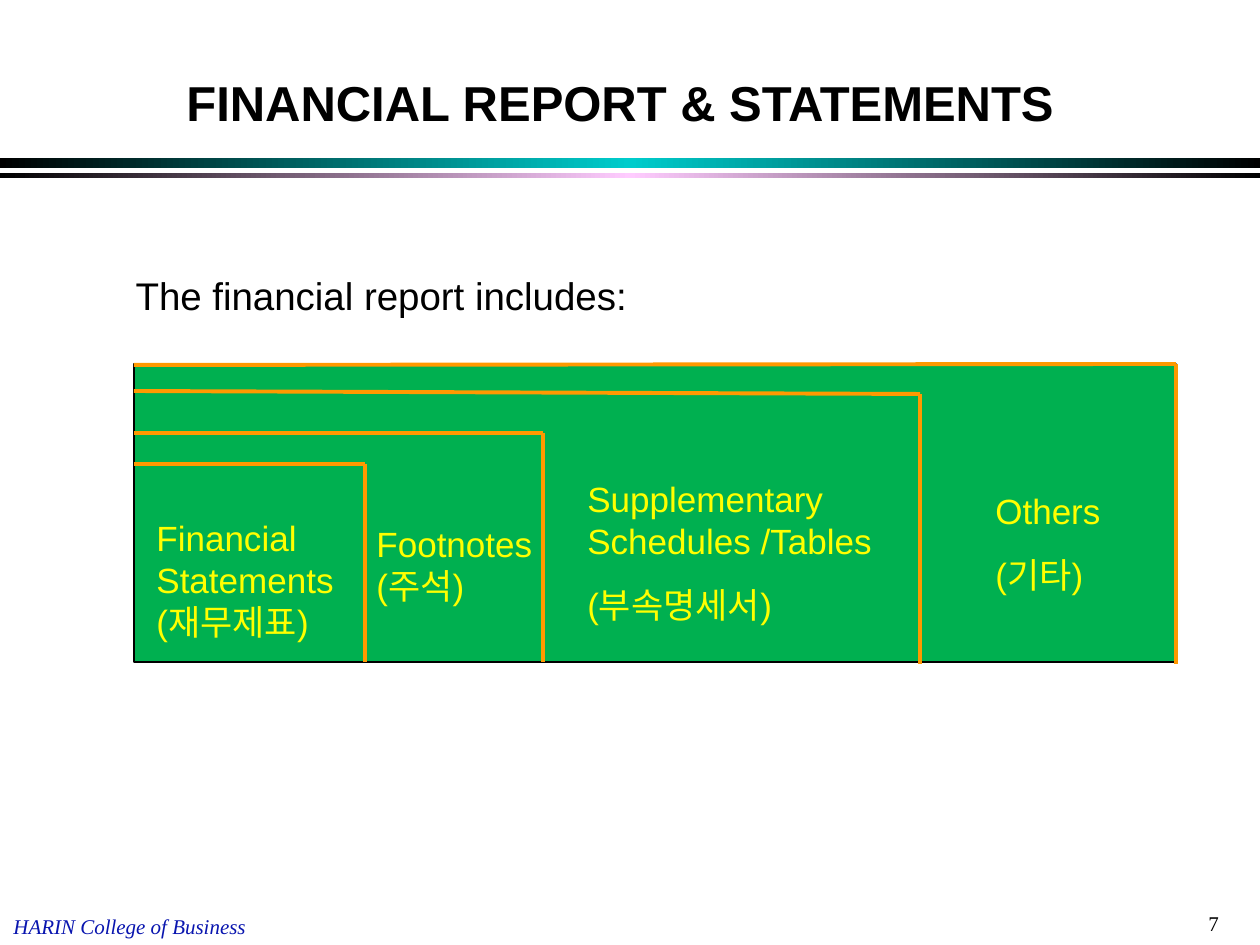
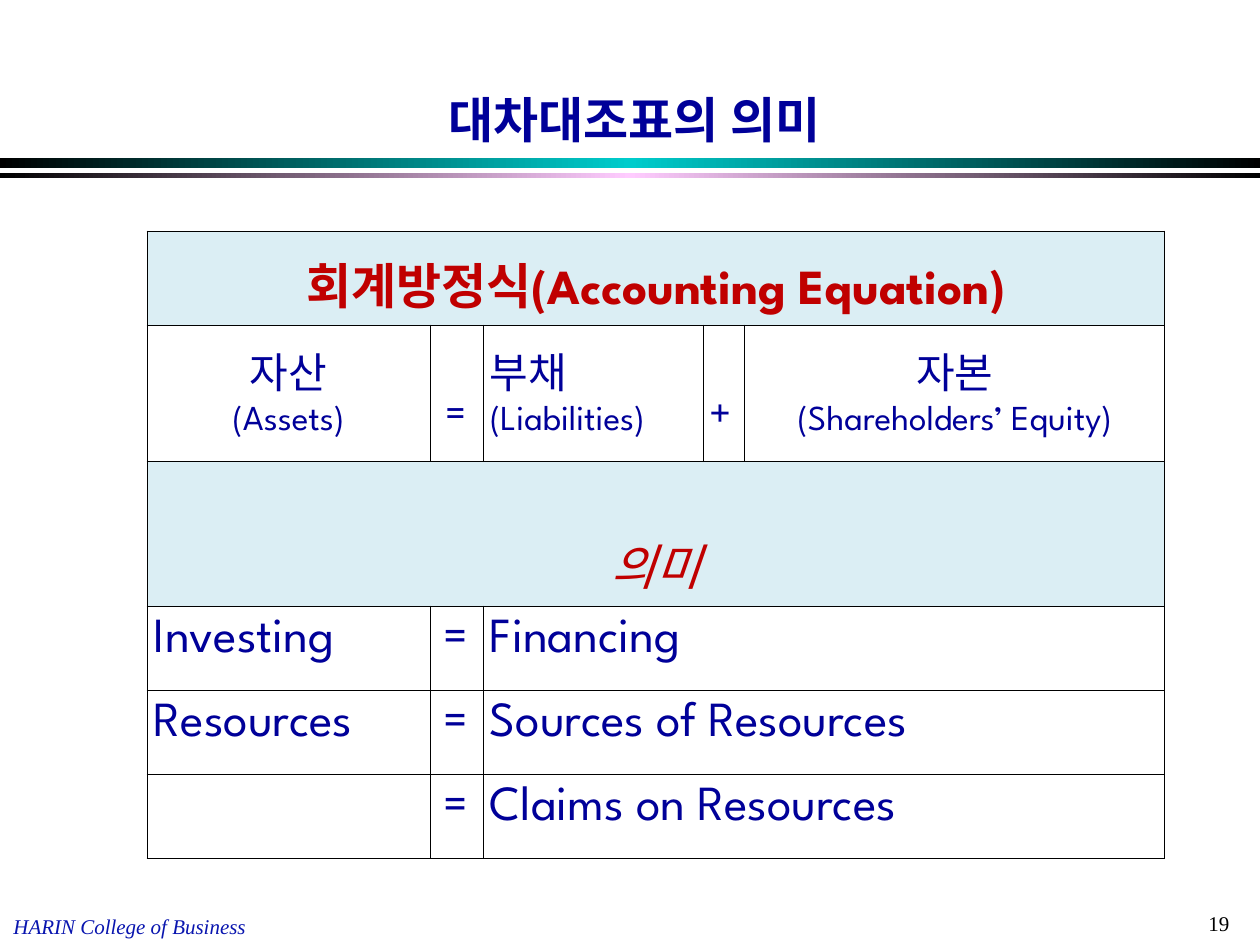
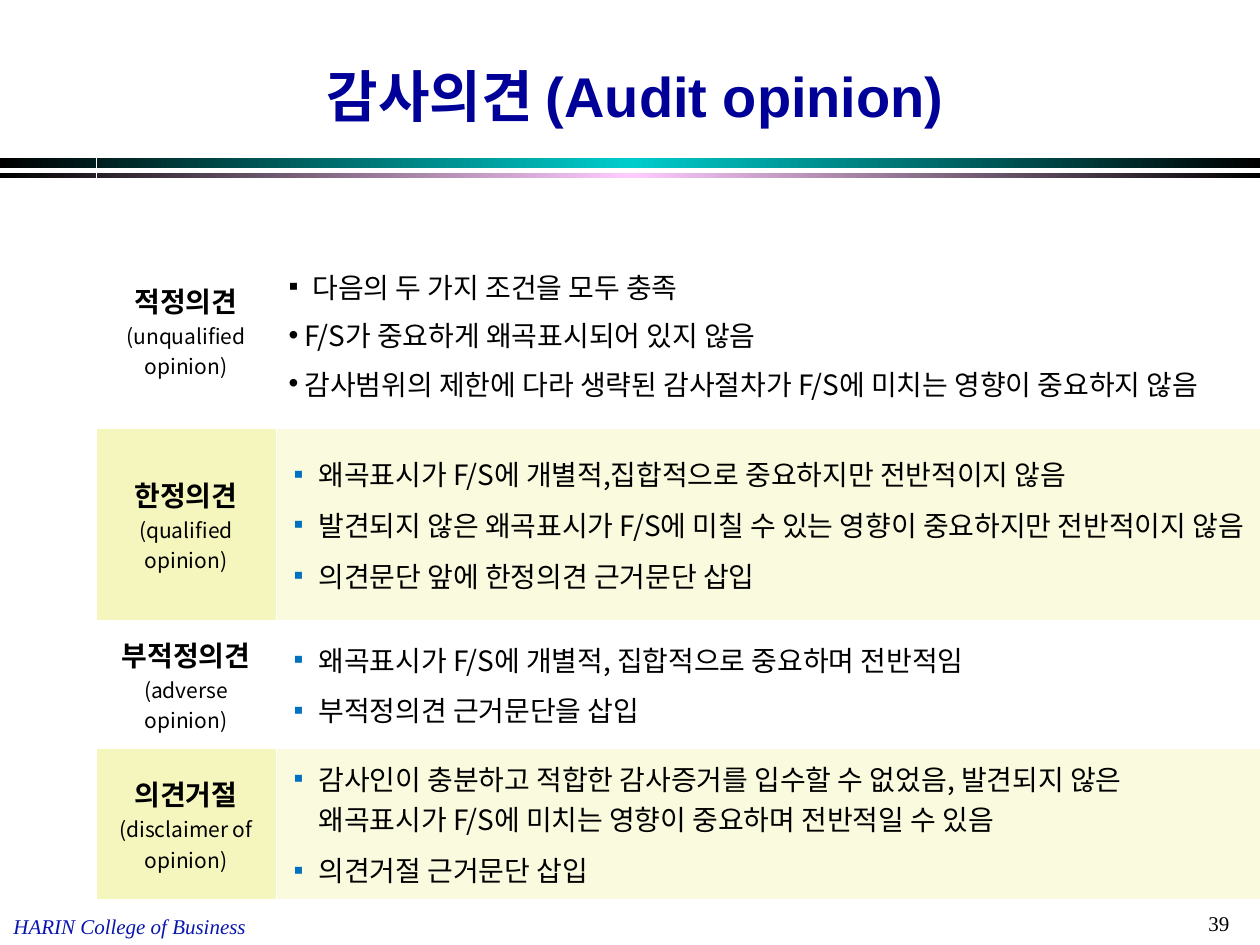
from copy import deepcopy

from lxml import etree
from pptx import Presentation
from pptx.dml.color import RGBColor
from pptx.enum.shapes import MSO_CONNECTOR, MSO_SHAPE
from pptx.enum.text import MSO_ANCHOR, MSO_AUTO_SIZE, PP_ALIGN
from pptx.oxml.ns import qn
from pptx.util import Emu, Pt

EMU_PER_PX = 914400 / 126

BLACK = RGBColor(0x00, 0x00, 0x00)
WHITE = RGBColor(0xFF, 0xFF, 0xFF)
TEAL = RGBColor(0x00, 0xCC, 0xCC)
PINK = RGBColor(0xFF, 0xCC, 0xFF)
FOOTER_BLUE = RGBColor(0x09, 0x15, 0xAF)
NAVY = RGBColor(0x00, 0x00, 0x99)
RED = RGBColor(0xC0, 0x00, 0x00)
GREEN = RGBColor(0x00, 0xB0, 0x50)
ORANGE = RGBColor(0xFF, 0x99, 0x00)
YELLOW = RGBColor(0xFF, 0xFF, 0x00)
PALE_BLUE = RGBColor(0xDB, 0xEE, 0xF4)
PALE_YELLOW = RGBColor(0xFA, 0xFA, 0xDE)
SOFT_YELLOW = RGBColor(0xF5, 0xF5, 0xBE)
BULLET_BLUE = RGBColor(0x00, 0x70, 0xC0)

LEFT, CENTER = PP_ALIGN.LEFT, PP_ALIGN.CENTER
TOP, MIDDLE, BOTTOM = MSO_ANCHOR.TOP, MSO_ANCHOR.MIDDLE, MSO_ANCHOR.BOTTOM
NO_AUTOFIT = MSO_AUTO_SIZE.NONE
RECTANGLE = MSO_SHAPE.RECTANGLE
STRAIGHT = MSO_CONNECTOR.STRAIGHT
KOREAN_FONT = "Noto Sans CJK KR"

FOOTER_FONT = {"name": "Times New Roman", "size": Pt(12)}
TITLE_FONT = {"name": "Arial", "bold": True}
LABEL_FONT = {"name": "Arial", "size": Pt(20), "color": YELLOW}
EQUATION_FONT = {"name": "League Spartan", "size": Pt(28), "color": NAVY}
OPINION_FONT = {"name": KOREAN_FONT, "size": Pt(16), "color": BLACK}


def px(*values):
    lengths = [Emu(round(value * EMU_PER_PX)) for value in values]
    return lengths if len(lengths) > 1 else lengths[0]


def write(frame, lines, font_format, paragraph_format):
    """Write lines; a line is a string or a list of (text, font changes)."""
    for index, line in enumerate(lines):
        paragraph = frame.add_paragraph() if index else frame.paragraphs[0]
        for name, value in paragraph_format.items():
            setattr(paragraph, name, value)
        for text, changes in [(line, {})] if isinstance(line, str) else line:
            run = paragraph.add_run()
            run.text = text
            values = {**font_format, **changes}
            run.font.color.rgb = values.pop("color")
            for name, value in values.items():
                setattr(run.font, name, value)


presentation = Presentation()
presentation.slide_width, presentation.slide_height = px(1260, 945)
title_and_body, title_only = presentation.slide_layouts[1], presentation.slide_layouts[5]
report_slide, equation_slide, opinion_slide = [
    presentation.slides.add_slide(layout)
    for layout in (title_and_body, title_only, title_only)
]

# Shared bands and footer, moved to the slide master
shared_shapes = []
for top, height, middle_color in ((158, 10, TEAL), (173, 5, PINK)):
    band = report_slide.shapes.add_shape(RECTANGLE, *px(0, top, 1260, height))
    band.shadow.inherit = False
    band.line.fill.background()
    band.fill.gradient()
    band.fill.gradient_angle = 0
    stop_list = next(band.element.iter(qn("a:gsLst")))
    stop_list.append(deepcopy(stop_list[0]))
    for index, color in enumerate((BLACK, middle_color, BLACK)):
        stop = band.fill.gradient_stops[index]
        stop.color.rgb = color
        stop.position = index / 2
    shared_shapes.append(band)

footer = report_slide.shapes.add_textbox(*px(1, 907, 400, 38))
footer.text_frame.word_wrap = True
write(footer.text_frame, ["HARIN College of Business"],
      {**FOOTER_FONT, "color": FOOTER_BLUE, "italic": True}, {"alignment": LEFT})
shared_shapes.append(footer)

for shape_id, shape in enumerate(shared_shapes, 101):
    next(shape.element.iter(qn("p:cNvPr"))).set("id", str(shape_id))
    presentation.slide_master.shapes.element.append(shape.element)

# Titles and page numbers
for slide, title, box, anchor, size, color, page in (
    (report_slide, "FINANCIAL REPORT & STATEMENTS", (74, 66, 1092, 72), TOP, 28, BLACK, "7"),
    (equation_slide, "대차대조표의 의미", (74, 38, 1121, 117), BOTTOM, 28, NAVY, "19"),
    (opinion_slide, "감사의견 (Audit opinion)", (74, 46, 1123, 89), BOTTOM, 32, NAVY, "39"),
):
    heading = slide.shapes.title
    heading.left, heading.top, heading.width, heading.height = px(*box)
    heading.text_frame.auto_size = NO_AUTOFIT
    heading.text_frame.vertical_anchor = anchor
    write(heading.text_frame, [title], {**TITLE_FONT, "size": Pt(size), "color": color},
          {"alignment": CENTER})
    page_number = slide.shapes.add_textbox(*px(1196, 904, 64, 38))
    page_number.text_frame.word_wrap = True
    write(page_number.text_frame, [page], {**FOOTER_FONT, "color": BLACK}, {})

# Slide 1: introduction
introduction = report_slide.placeholders[1]
introduction.left, introduction.top, introduction.width, introduction.height = px(123, 280, 966, 43)
introduction.text_frame.auto_size = NO_AUTOFIT
write(introduction.text_frame, ["The financial report includes:"],
      {"name": "Arial", "size": Pt(22), "color": BLACK},
      {"line_spacing": 0.65, "space_before": Pt(13.8)})
properties = introduction.text_frame.paragraphs[0]._p.get_or_add_pPr()
properties.set("marL", "0")
properties.set("indent", "0")
etree.SubElement(properties, qn("a:buNone"))

# Slide 1: nested parts of the report
report_box = report_slide.shapes.add_shape(RECTANGLE, *px(134, 364, 1042, 298))
report_box.shadow.inherit = False
report_box.fill.solid()
report_box.fill.fore_color.rgb = GREEN
report_box.line.color.rgb = BLACK
report_box.line.width = Pt(0.75)

for right, left_top, right_top, bottom in (
    (365, 464, 464, 662), (543, 433, 433, 662), (920, 391, 394, 664), (1176, 365, 364, 664),
):
    for ends in ((134, left_top, right, right_top), (right, right_top, right, bottom)):
        edge = report_slide.shapes.add_connector(STRAIGHT, *px(*ends))
        edge.line.color.rgb = ORANGE
        edge.line.width = Pt(2.25)
        etree.SubElement(edge.element.spPr, qn("a:effectLst"))

for box, space_before, lines in (
    ((144, 510, 247, 139), 0, ["Financial", "Statements", "(재무제표)"]),
    ((364, 516, 220, 97), 0, ["Footnotes", "(주석)"]),
    ((575, 471, 343, 161), 12.5, ["Supplementary Schedules /Tables", "(부속명세서)"]),
    ((983, 483, 200, 118), 12.5, ["Others", "(기타)"]),
):
    label = report_slide.shapes.add_textbox(*px(*box))
    label.text_frame.word_wrap = True
    write(label.text_frame, lines, LABEL_FONT, {"space_before": Pt(space_before)})

# Table grids of slides 2 and 3
tables = []
for slide, left, top, widths, heights, color, side_width, level_width in (
    (equation_slide, 147, 231, (283, 53, 220, 42, 420), (94, 136, 145, 84, 84, 84),
     BLACK, 0.45, 0.45),
    (opinion_slide, 96, 145, (180, 984), (88, 195, 193, 127, 152), WHITE, 0.45, 1.47),
):
    table = slide.shapes.add_table(
        len(heights), len(widths), *px(left, top, sum(widths), sum(heights))).table
    table.first_row = table.horz_banding = False
    for column, width in zip(table.columns, widths):
        column.width = px(width)
    for row, height in zip(table.rows, heights):
        row.height = px(height)
    for cell in table.iter_cells():
        cell_properties = cell._tc.get_or_add_tcPr()
        for side, width in (("L", side_width), ("R", side_width),
                            ("T", level_width), ("B", level_width)):
            border = etree.SubElement(cell_properties, qn(f"a:ln{side}"), w=str(Pt(width)))
            border_fill = etree.SubElement(border, qn("a:solidFill"))
            etree.SubElement(border_fill, qn("a:srgbClr"), val=str(color))
        cell.fill.background()
    tables.append(table)
equation_table, opinion_table = tables

# Slide 2: accounting equation; cells are row, column, last column, alignment, top margin, lines
large, small = {"size": Pt(24)}, {"size": Pt(20)}
equation_cells = [
    (0, 0, 4, CENTER, 6, [[("회계방정식(Accounting Equation)", {"bold": True, "color": RED})]]),
    (1, 1, 1, CENTER, 67, [[("=", large)]]),
    (1, 3, 3, LEFT, 67, [[("+", large)]]),
    (2, 0, 4, CENTER, 57, [[("의미", {"italic": True, "color": RED})]]),
]
for column, alignment, korean, english in (
    (0, CENTER, "자산", "(Assets)"),
    (2, LEFT, "부채", "(Liabilities)"),
    (4, CENTER, "자본", "(Shareholders’ Equity)"),
):
    equation_cells.append(
        (1, column, column, alignment, 6, [[(korean, large)], [(english, small)]]))
for row, (use, source) in enumerate((
    ("Investing", "Financing"),
    ("Resources", "Sources of Resources"),
    ("", "Claims on Resources"),
), 3):
    if use:
        equation_cells.append((row, 0, 0, LEFT, 6, [use]))
    equation_cells.append((row, 1, 1, CENTER, 6, ["="]))
    equation_cells.append((row, 2, 4, LEFT, 6, [source]))

for row, column, last_column, alignment, top_margin, lines in equation_cells:
    cell = equation_table.cell(row, column)
    if last_column > column:
        cell.merge(equation_table.cell(row, last_column))
    if row in (0, 2):
        cell.fill.solid()
        cell.fill.fore_color.rgb = PALE_BLUE
    cell.margin_left = cell.margin_right = px(7)
    cell.margin_top = px(top_margin)
    write(cell.text_frame, lines, EQUATION_FONT, {"alignment": alignment, "line_spacing": 1.15})

# Slide 3: audit opinions
opinion_table.cell(0, 0).merge(opinion_table.cell(0, 1))
opinions = (
    ("적정의견", "(unqualified opinion)", [
        "다음의 두 가지 조건을 모두 충족",
        "F/S가 중요하게 왜곡표시되어 있지 않음",
        "감사범위의 제한에 다라 생략된 감사절차가 F/S에 미치는 영향이 중요하지 않음"]),
    ("한정의견", "(qualified opinion)", [
        "왜곡표시가 F/S에 개별적,집합적으로 중요하지만 전반적이지 않음",
        "발견되지 않은 왜곡표시가 F/S에 미칠 수 있는 영향이 중요하지만 전반적이지 않음",
        "의견문단 앞에 한정의견 근거문단 삽입"]),
    ("부적정의견", "(adverse opinion)", [
        "왜곡표시가 F/S에 개별적, 집합적으로 중요하며 전반적임",
        "부적정의견 근거문단을 삽입"]),
    ("의견거절", "(disclaimer of opinion)", [
        "감사인이 충분하고 적합한 감사증거를 입수할 수 없었음, 발견되지 않은 "
        "왜곡표시가 F/S에 미치는 영향이 중요하며 전반적일 수 있음",
        "의견거절 근거문단 삽입"]),
)
for row, (korean, english, conditions) in enumerate(opinions, 1):
    name_cell, condition_cell = opinion_table.cell(row, 0), opinion_table.cell(row, 1)
    shaded = row % 2 == 0
    for cell, color in ((name_cell, SOFT_YELLOW), (condition_cell, PALE_YELLOW)):
        cell.vertical_anchor = MIDDLE
        cell.fill.solid()
        cell.fill.fore_color.rgb = color if shaded else WHITE
    name_cell.margin_left = name_cell.margin_right = px(5)
    write(name_cell.text_frame,
          [[(korean, {"bold": True}), (english, {"size": Pt(12)})]],
          OPINION_FONT, {"alignment": CENTER})
    spacing = {"line_spacing": 1.2} if row == 1 else {"space_before": Pt(6)}
    write(condition_cell.text_frame, conditions, OPINION_FONT, spacing)

    # Bullets: margin, hanging indent, colour and sign
    for index, paragraph in enumerate(condition_cell.text_frame.paragraphs):
        margin, hanging, color, sign = 30, 25, BULLET_BLUE, "▪"
        if row == 1:
            margin, hanging, color, sign = (16, 16, BLACK, "•") if index else (24, 24, BLACK, "▪")
        properties = paragraph._p.get_or_add_pPr()
        properties.set("marL", str(px(margin)))
        properties.set("indent", str(-px(hanging)))
        bullet_color = etree.SubElement(properties, qn("a:buClr"))
        etree.SubElement(bullet_color, qn("a:srgbClr"), val=str(color))
        etree.SubElement(properties, qn("a:buFont"), typeface="Arial")
        etree.SubElement(properties, qn("a:buChar"), char=sign)

# Korean glyphs use one font on all slides
for slide in presentation.slides:
    for latin in list(slide.element.iter(qn("a:latin"))):
        east_asian = etree.Element(qn("a:ea"), typeface=KOREAN_FONT)
        latin.addnext(east_asian)

presentation.save("out.pptx")
